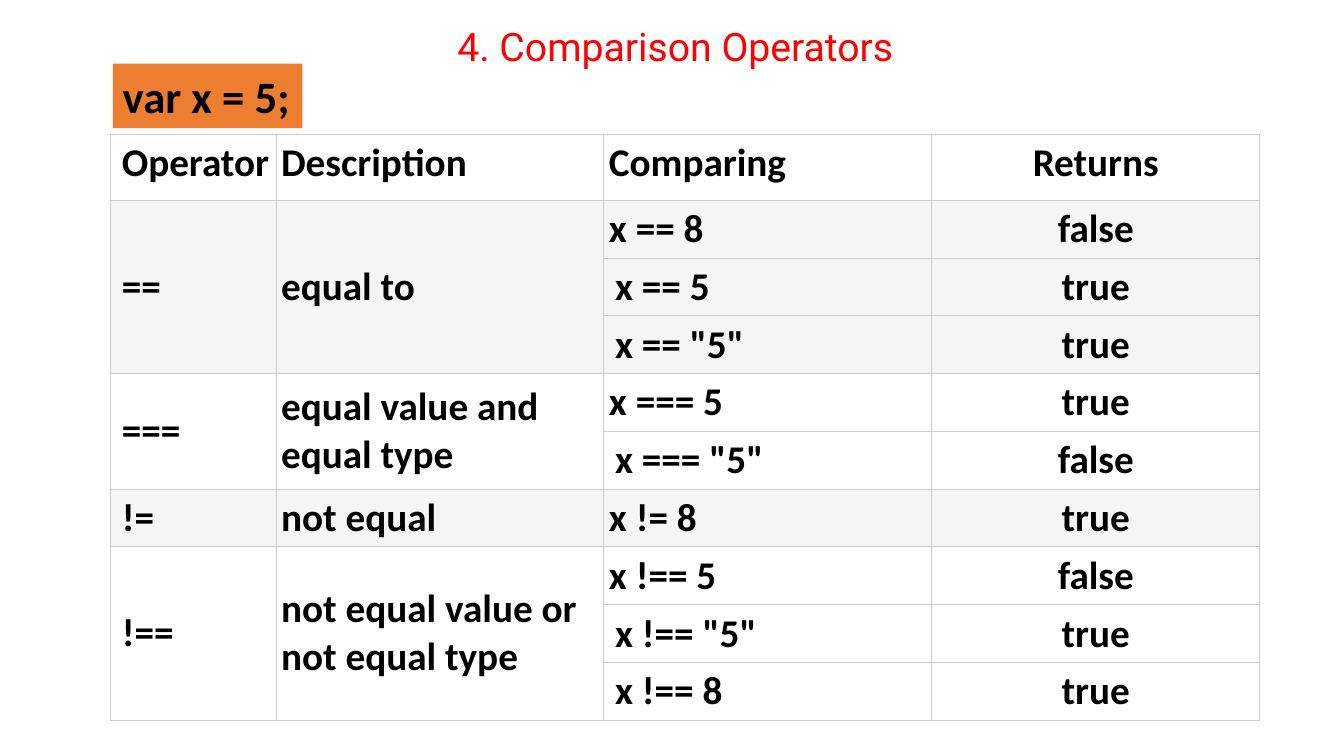
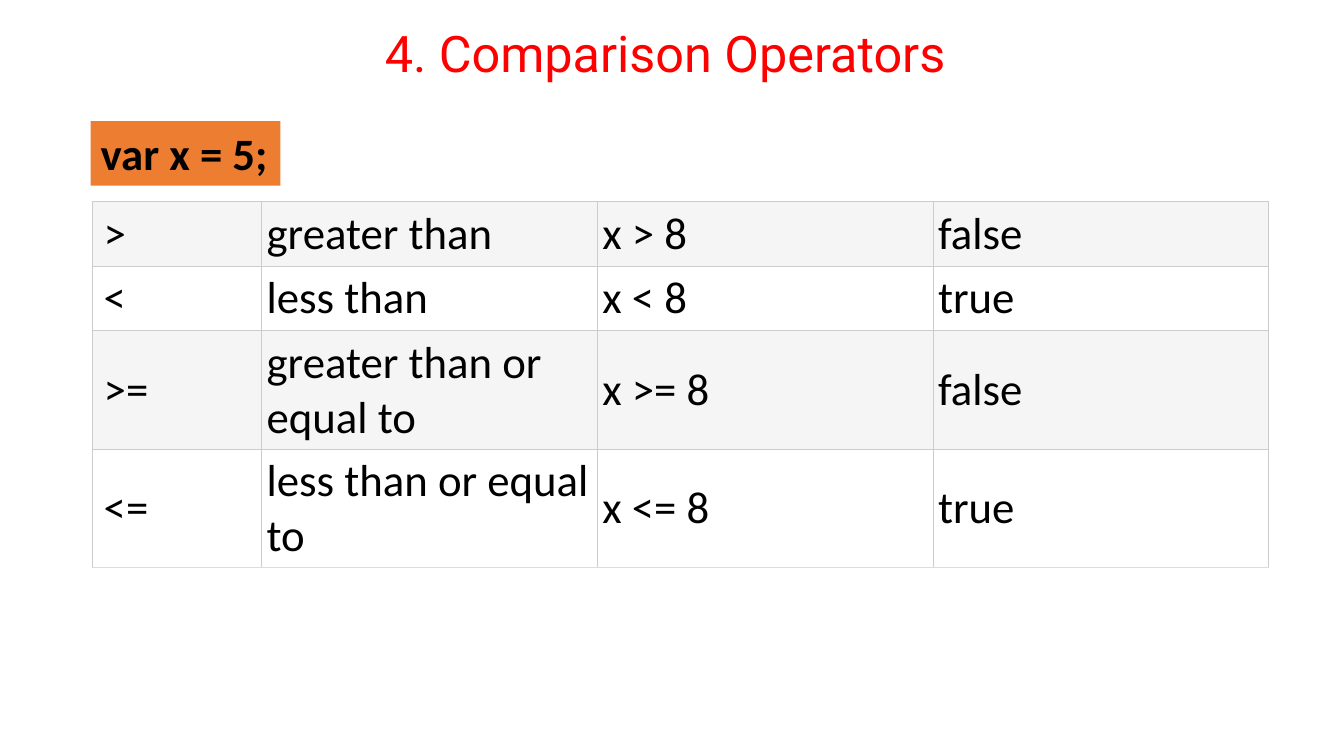
from dataclasses import dataclass
from typing import Any

from lxml import etree
from pptx import Presentation
from pptx import util as u
from pptx.dml.color import RGBColor
from pptx.enum import shapes, text
from pptx.oxml import ns


# Shared colours, fonts and sizes
@dataclass(frozen=True)
class Theme:
    title_color: str = "FF0000"
    ink: str = "000000"
    badge: str = "ED7D31"
    white: str = "FFFFFF"
    shade: str = "F5F5F5"
    border: str = "CCCCCC"
    last_border: str = "DDDDDD"
    title_font: str = "Roboto"
    body_font: str = "Calibri"
    small_title: float = 28
    large_title: float = 36
    small_body: float = 28
    large_body: float = 32
    border_width: float = 0.75
    cell_inset: float = 3.6
    wide_inset: float = 8


THEME = Theme()
TITLE_TEXT = "4. Comparison Operators"
BADGE_TEXT = "var x = 5;"
BADGE_SIZE = (135.4, 46.1)


# Content descriptions
@dataclass(frozen=True)
class Box:
    left: float
    top: float
    width: float
    height: float


@dataclass(frozen=True)
class Operator:
    symbol: str
    description: str
    cases: tuple[tuple[str, str], ...]
    row_height: float


@dataclass(frozen=True)
class OperatorTable:
    left: float
    top: float
    symbol_width: float
    other_width: float
    operators: tuple[Operator, ...]
    size: float
    bold: bool
    shaded_first: bool
    result_align: Any
    case_anchor: Any
    bottom_border: str
    header: tuple[str, ...] = ()
    header_height: float = 0


@dataclass(frozen=True)
class Page:
    title: Box
    title_size: float
    badge_left: float
    badge_top: float
    table: OperatorTable


ROW = 41.3
ONE_LINE, TWO_LINES = 46.2, 84.5

PAGES = (
    Page(
        title=Box(319.7, 12.2, 326.9, 41),
        title_size=THEME.small_title,
        badge_left=80.6,
        badge_top=45.5,
        table=OperatorTable(
            left=79, top=96, symbol_width=118.2, other_width=234.2,
            size=THEME.small_body, bold=True, shaded_first=True,
            result_align=text.PP_ALIGN.CENTER,
            case_anchor=text.MSO_ANCHOR.TOP,
            bottom_border=THEME.border,
            header=("Operator", "Description", "Comparing", "Returns"),
            header_height=47,
            operators=(
                Operator("==", "equal to", (
                    ("x == 8", "false"), ("x == 5", "true"), ('x == "5"', "true")), ROW),
                Operator("===", "equal value and equal type", (
                    ("x === 5", "true"), ('x === "5"', "false")), ROW),
                Operator("!=", "not equal", (("x != 8", "true"),), ROW),
                Operator("!==", "not equal value or not equal type", (
                    ("x !== 5", "false"), ('x !== "5"', "true"), ("x !== 8", "true")), ROW),
            ),
        ),
    ),
    Page(
        title=Box(267.8, 12.2, 415.4, 51),
        title_size=THEME.large_title,
        badge_left=64.8,
        badge_top=86.6,
        table=OperatorTable(
            left=66.1, top=144, symbol_width=120.8, other_width=239.8,
            size=THEME.large_body, bold=False, shaded_first=True,
            result_align=text.PP_ALIGN.LEFT,
            case_anchor=text.MSO_ANCHOR.MIDDLE,
            bottom_border=THEME.last_border,
            operators=(
                Operator(">", "greater than", (("x > 8", "false"),), ONE_LINE),
                Operator("<", "less than", (("x < 8", "true"),), ONE_LINE),
                Operator(">=", "greater than or equal to", (("x >= 8", "false"),), TWO_LINES),
                Operator("<=", "less than or equal to", (("x <= 8", "true"),), TWO_LINES),
            ),
        ),
    ),
)


# Formatting helpers
def apply_format(target: Any, values: dict[str, Any]) -> None:
    for name, value in values.items():
        setattr(target, name, value)


def write_text(frame: Any, content: str, font: str, size: float, color: str,
               bold: bool = False, align: Any = text.PP_ALIGN.LEFT) -> None:
    paragraph = frame.paragraphs[0]
    paragraph.alignment = align
    run = paragraph.add_run()
    run.text = content
    apply_format(run.font, {"name": font, "size": u.Pt(size), "bold": bold})
    run.font.color.rgb = RGBColor.from_string(color)


def fit_frame(frame: Any) -> None:
    apply_format(frame, {
        "word_wrap": False,
        "auto_size": text.MSO_AUTO_SIZE.SHAPE_TO_FIT_TEXT,
        "vertical_anchor": text.MSO_ANCHOR.TOP,
    })


def paint(target: Any, color: str) -> None:
    target.fill.solid()
    target.fill.fore_color.rgb = RGBColor.from_string(color)


def add_borders(cell: Any, bottom: str) -> None:
    properties = cell._tc.get_or_add_tcPr()
    for side in "LRTB":
        line = etree.SubElement(properties, ns.qn(f"a:ln{side}"),
                                w=str(u.Pt(THEME.border_width)))
        fill = etree.SubElement(line, ns.qn("a:solidFill"))
        etree.SubElement(fill, ns.qn("a:srgbClr"),
                         val=bottom if side == "B" else THEME.border)


# Title and code badge
def draw_title(slide: Any, box: Box, size: float) -> None:
    shape = slide.shapes.add_textbox(
        u.Pt(box.left), u.Pt(box.top), u.Pt(box.width), u.Pt(box.height))
    fit_frame(shape.text_frame)
    write_text(shape.text_frame, TITLE_TEXT, THEME.title_font, size, THEME.title_color)


def draw_badge(slide: Any, left: float, top: float) -> None:
    width, height = BADGE_SIZE
    shape = slide.shapes.add_shape(shapes.MSO_SHAPE.RECTANGLE,
                                   u.Pt(left), u.Pt(top), u.Pt(width), u.Pt(height))
    shape.shadow.inherit = False
    paint(shape, THEME.badge)
    shape.line.fill.background()
    fit_frame(shape.text_frame)
    write_text(shape.text_frame, BADGE_TEXT, THEME.body_font, THEME.large_body,
               THEME.ink, bold=True)


# Operator table
def draw_table(slide: Any, design: OperatorTable) -> None:
    heights = [design.header_height] if design.header else []
    for operator in design.operators:
        heights += [operator.row_height] * len(operator.cases)
    widths = [design.symbol_width] + [design.other_width] * 3
    table = slide.shapes.add_table(
        len(heights), len(widths), u.Pt(design.left), u.Pt(design.top),
        u.Pt(sum(widths)), u.Pt(sum(heights))).table
    apply_format(table, {"first_row": False, "horz_banding": False})
    for column, width in zip(table.columns, widths):
        column.width = u.Pt(width)
    for row, height in zip(table.rows, heights):
        row.height = u.Pt(height)

    def style_row(row: int, color: str) -> None:
        bottom = design.bottom_border if row == len(heights) - 1 else THEME.border
        for column in range(len(widths)):
            cell = table.cell(row, column)
            add_borders(cell, bottom)
            paint(cell, color)

    def fill_cell(row: int, column: int, content: str, anchor: Any,
                  indented: bool = False) -> None:
        cell = table.cell(row, column)
        inset = u.Pt(THEME.cell_inset)
        apply_format(cell, {
            "margin_left": u.Pt(THEME.wide_inset) if indented else inset,
            "margin_right": inset, "margin_top": inset, "margin_bottom": inset,
            "vertical_anchor": anchor,
        })
        align = design.result_align if column == 3 else text.PP_ALIGN.LEFT
        write_text(cell.text_frame, content, THEME.body_font, design.size,
                   THEME.ink, design.bold, align)

    row = 0
    if design.header:
        style_row(row, THEME.white)
        for column, heading in enumerate(design.header):
            fill_cell(row, column, heading, text.MSO_ANCHOR.TOP, indented=column == 0)
        row += 1

    for index, operator in enumerate(design.operators):
        shaded = (index % 2 == 0) == design.shaded_first
        first, last = row, row + len(operator.cases) - 1
        for comparing, result in operator.cases:
            style_row(row, THEME.shade if shaded else THEME.white)
            fill_cell(row, 2, comparing, design.case_anchor, indented=row > first)
            fill_cell(row, 3, result, design.case_anchor)
            row += 1
        for column, content in enumerate((operator.symbol, operator.description)):
            if last > first:
                table.cell(first, column).merge(table.cell(last, column))
            fill_cell(first, column, content, text.MSO_ANCHOR.MIDDLE, indented=column == 0)


# Build the presentation
def main() -> None:
    presentation = Presentation()
    apply_format(presentation, {"slide_width": u.Pt(960), "slide_height": u.Pt(540)})
    for page in PAGES:
        slide = presentation.slides.add_slide(presentation.slide_layouts[6])
        draw_title(slide, page.title, page.title_size)
        draw_table(slide, page.table)
        draw_badge(slide, page.badge_left, page.badge_top)
    presentation.save("out.pptx")


main()
